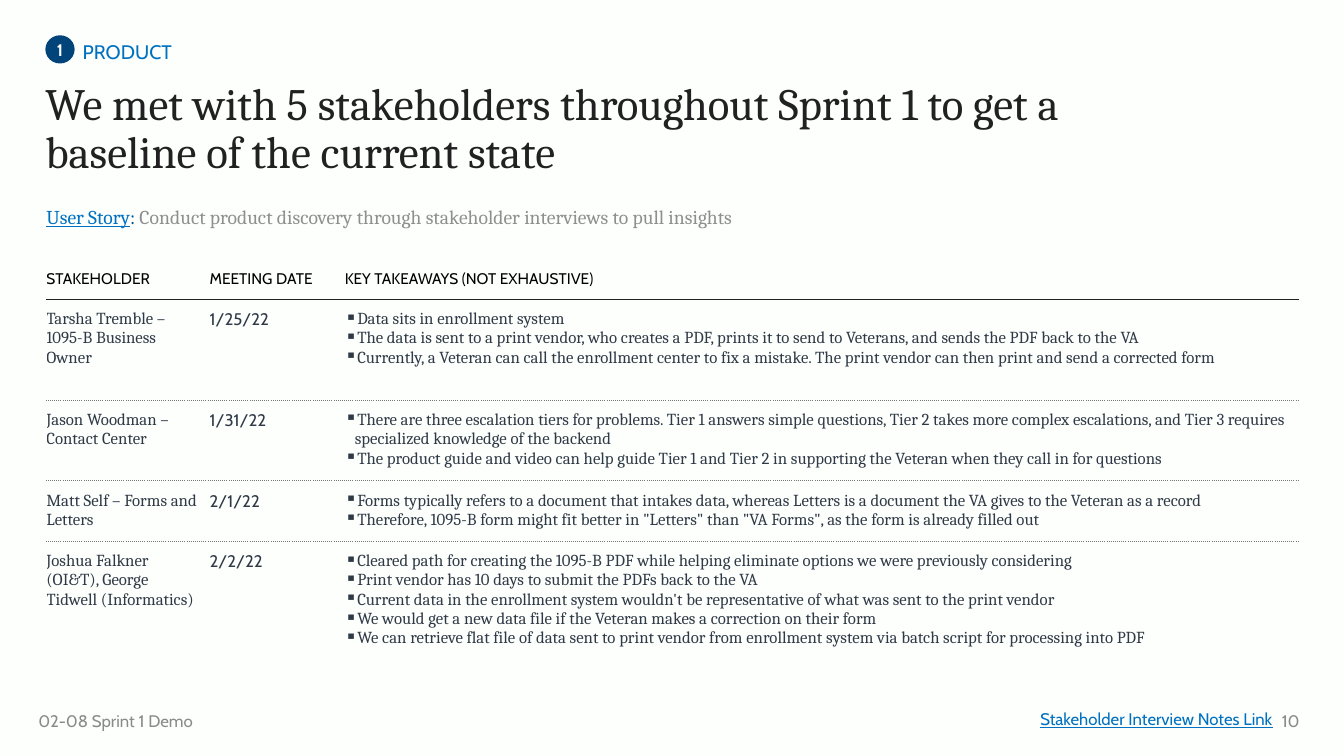
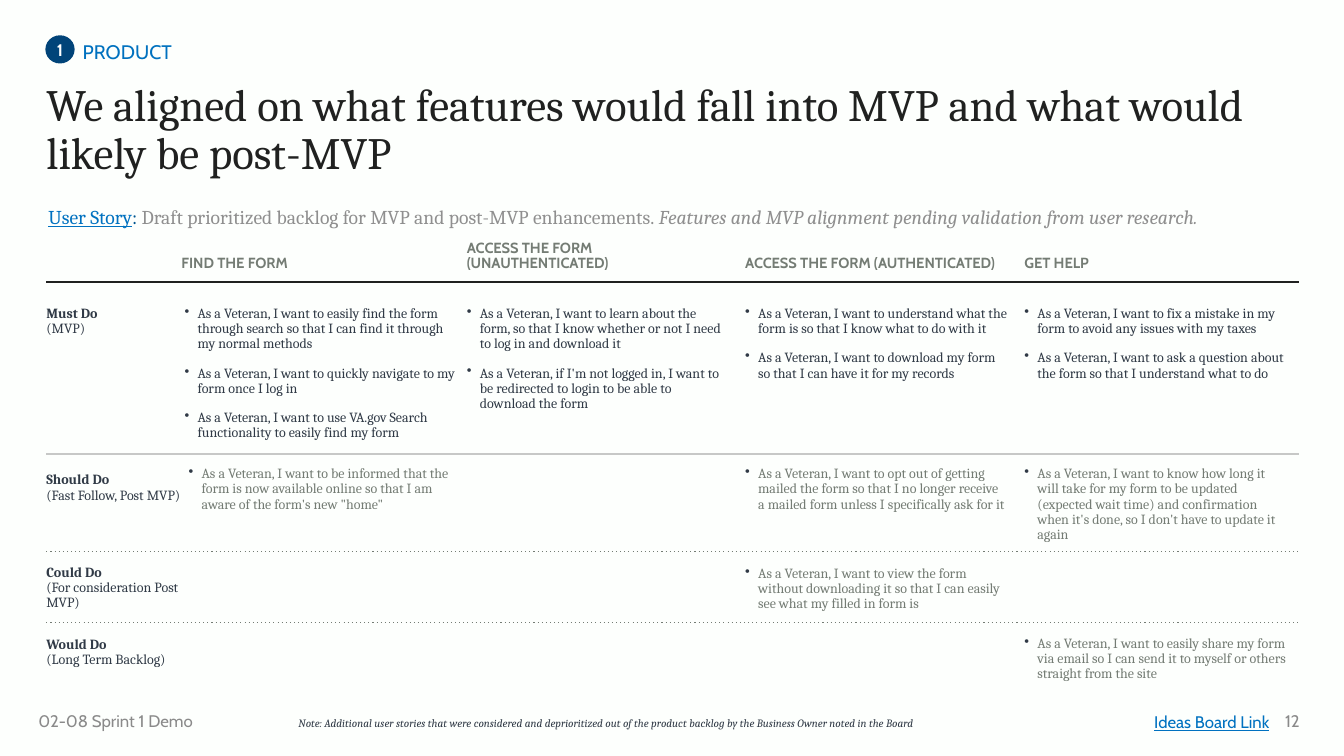
from dataclasses import dataclass

from lxml import etree
from pptx import Presentation
from pptx.dml.color import RGBColor
from pptx.enum import shapes, text
from pptx.oxml import ns
from pptx.util import Inches, Pt


@dataclass(frozen=True)
class Theme:
    page: str = "FDFFFD"
    ink: str = "202120"
    header: str = "000000"
    body: str = "303A46"
    muted: str = "747C74"
    rule: str = "C7C8C7"
    subtitle: str = "8F8F8F"
    footer: str = "8A8A8A"
    link: str = "0071C0"
    colon: str = "00558F"
    section: str = "0071BF"
    badge: str = "014479"
    white: str = "FFFFFF"
    serif: str = "Cambria"
    sans: str = "Cabin"
    title_size: float = 32
    lead_size: float = 14
    text_size: float = 12
    head_size: float = 11
    column_size: float = 10.5
    story_size: float = 10
    note_size: float = 8


T = Theme()
LEFT, RIGHT = 0.46, 12.88

INTERVIEWS = {
    "title": "We met with 5 stakeholders throughout Sprint 1 to get a baseline of the current state",
    "title_box": (0.45, 0.81, 10.82, 1.11),
    "story_left": 0.46,
    "story": [("Conduct product discovery through stakeholder interviews to pull insights", False)],
    "page": "10",
    "link": "Stakeholder Interview Notes Link",
    "link_box": (9.07, 6.98, 3.65, 0.3),
}
BACKLOG = {
    "title": "We aligned on what features would fall into MVP and what would likely be post-MVP",
    "title_box": (0.46, 0.82, 12.42, 1.11),
    "story_left": 0.48,
    "story": [
        ("Draft prioritized backlog for MVP and post-MVP enhancements. ", False),
        ("Features and MVP alignment pending validation from user research.", True),
    ],
    "page": "12",
    "link": "Ideas Board Link",
    "link_box": (9.69, 7.01, 3, 0.3),
}
SECTION = "PRODUCT"
FOOTER = "02-08 Sprint 1 Demo"

TABLE_COLS = [1.62, 1.34, 9.46]
TABLE_ROWS = [0.4, 1, 0.8, 0.6, 1.2]
TABLE_HEAD = ["STAKEHOLDER", "MEETING DATE", "KEY TAKEAWAYS (NOT EXHAUSTIVE)"]
MEETINGS = [
    ("Tarsha Tremble – 1095-B Business Owner", "1/25/22", [
        "Data sits in enrollment system",
        "The data is sent to a print vendor, who creates a PDF, prints it to send to Veterans, and sends the PDF back to the VA",
        "Currently, a Veteran can call the enrollment center to fix a mistake. The print vendor can then print and send a corrected form",
    ]),
    ("Jason Woodman – Contact Center", "1/31/22", [
        "There are three escalation tiers for problems. Tier 1 answers simple questions, Tier 2 takes more complex escalations, and Tier 3 requires specialized knowledge of the backend",
        "The product guide and video can help guide Tier 1 and Tier 2 in supporting the Veteran when they call in for questions",
    ]),
    ("Matt Self – Forms and Letters", "2/1/22", [
        "Forms typically refers to a document that intakes data, whereas Letters is a document the VA gives to the Veteran as a record",
        'Therefore, 1095-B form might fit better in "Letters" than "VA Forms", as the form is already filled out',
    ]),
    ("Joshua Falkner (OI&T), George Tidwell (Informatics)", "2/2/22", [
        "Cleared path for creating the 1095-B PDF while helping eliminate options we were previously considering",
        "Print vendor has 10 days to submit the PDFs back to the VA",
        "Current data in the enrollment system wouldn't be representative of what was sent to the print vendor",
        "We would get a new data file if the Veteran makes a correction on their form",
        "We can retrieve flat file of data sent to print vendor from enrollment system via batch script for processing into PDF",
    ]),
]

STAGES = [
    (1.8, "FIND THE FORM"),
    (4.63, "ACCESS THE FORM (UNAUTHENTICATED)"),
    (7.39, "ACCESS THE FORM (AUTHENTICATED)"),
    (10.16, "GET HELP"),
]
PRIORITIES = [
    ("Must Do", "(MVP)", 3.04, 3.04, T.body, 0.03, {
        0: [
            "As a Veteran, I want to easily find the form through search so that I can find it through my normal methods",
            "As a Veteran, I want to quickly navigate to my form once I log in",
            "As a Veteran, I want to use VA.gov Search functionality to easily find my form",
        ],
        1: [
            "As a Veteran, I want to learn about the form, so that I know whether or not I need to log in and download it",
            "As a Veteran, if I'm not logged in, I want to be redirected to login to be able to download the form",
        ],
        2: [
            "As a Veteran, I want to understand what the form is so that I know what to do with it",
            "As a Veteran, I want to download my form so that I can have it for my records",
        ],
        3: [
            "As a Veteran, I want to fix a mistake in my form to avoid any issues with my taxes",
            "As a Veteran, I want to ask a question about the form so that I understand what to do",
        ],
    }),
    ("Should Do", "(Fast Follow, Post MVP)", 4.69, 4.63, T.muted, 0.07, {
        0: ['As a Veteran, I want to be informed that the form is now available online so that I am aware of the form\'s new "home"'],
        2: ["As a Veteran, I want to opt out of getting mailed the form so that I no longer receive a mailed form unless I specifically ask for it"],
        3: ["As a Veteran, I want to know how long it will take for my form to be updated (expected wait time) and confirmation when it's done, so I don't have to update it again"],
    }),
    ("Could Do", "(For consideration Post MVP)", 5.61, 5.62, T.muted, 0, {
        2: ["As a Veteran, I want to view the form without downloading it so that I can easily see what my filled in form is"],
    }),
    ("Would Do", "(Long Term Backlog)", 6.32, 6.31, T.muted, 0, {
        3: ["As a Veteran, I want to easily share my form via email so I can send it to myself or others straight from the site"],
    }),
]
RULES = [
    (2.8, T.ink, 1.5, False),
    (4.5, T.rule, 1.5, False),
    (5.47, T.muted, 0.75, True),
    (6.18, T.muted, 0.75, True),
]
NOTE = "Note: Additional user stories that were considered and deprioritized out of the product backlog by the Business Owner noted in the Board"


def rgb(value):
    return RGBColor.from_string(value)


def add_run(p, words, size, color, font=T.serif, bold=False, italic=False, underline=False):
    r = p.add_run()
    r.text = words
    f = r.font
    f.name, f.size, f.color.rgb = font, Pt(size), rgb(color)
    f.bold, f.italic, f.underline = bold, italic, underline


def next_paragraph(tf, first):
    return tf.paragraphs[0] if first else tf.add_paragraph()


def add_bullets(tf, items, mark, indent, size, color, spacing=None, gap=0):
    for i, item in enumerate(items):
        p = next_paragraph(tf, i == 0)
        pPr = p._p.get_or_add_pPr()
        pPr.set("marL", str(Inches(indent)))
        pPr.set("indent", str(-Inches(indent)))
        clr = etree.SubElement(pPr, ns.qn("a:buClr"))
        etree.SubElement(clr, ns.qn("a:srgbClr"), val=T.body)
        etree.SubElement(pPr, ns.qn("a:buChar"), char=mark)
        if spacing:
            p.line_spacing = spacing
        if i and gap:
            p.space_before = Pt(gap)
        add_run(p, item, size, color)


def set_frame(tf, anchor=text.MSO_ANCHOR.TOP, margins=(0, 0, 0, 0)):
    tf.word_wrap = True
    tf.auto_size = text.MSO_AUTO_SIZE.NONE
    tf.vertical_anchor = anchor
    tf.margin_left, tf.margin_top, tf.margin_right, tf.margin_bottom = map(Inches, margins)
    return tf


def add_box(s, box, **frame):
    return set_frame(s.shapes.add_textbox(*map(Inches, box)).text_frame, **frame)


def add_line_text(s, box, words, size, color, font=T.serif, align=None, spacing=None, frame=None, **style):
    p = add_box(s, box, **(frame or {})).paragraphs[0]
    p.alignment, p.line_spacing = align, spacing
    add_run(p, words, size, color, font, **style)


def add_rule(s, y, color, width, dotted):
    line = s.shapes.add_connector(shapes.MSO_CONNECTOR.STRAIGHT, Inches(LEFT), Inches(y), Inches(RIGHT), Inches(y))
    line.line.color.rgb = rgb(color)
    line.line.width = Pt(width)
    if dotted:
        etree.SubElement(line.line._get_or_add_ln(), ns.qn("a:prstDash"), val="dot")
    etree.SubElement(line._element.spPr, ns.qn("a:effectLst"))


def set_borders(cell, top, bottom):
    side = (T.page, 1, "solid")
    tcPr = cell._tc.get_or_add_tcPr()
    for tag, (color, width, dash) in zip(("lnL", "lnR", "lnT", "lnB"), (side, side, top, bottom)):
        ln = etree.SubElement(tcPr, ns.qn("a:" + tag), w=str(Pt(width)))
        fill = etree.SubElement(ln, ns.qn("a:solidFill"))
        etree.SubElement(fill, ns.qn("a:srgbClr"), val=color)
        etree.SubElement(ln, ns.qn("a:prstDash"), val=dash)
    cell.fill.background()


def start_slide(prs, content):
    s = prs.slides.add_slide(prs.slide_layouts[5])
    title = s.shapes.title
    title.left, title.top, title.width, title.height = map(Inches, content["title_box"])
    p = set_frame(title.text_frame).paragraphs[0]
    p.alignment, p.line_spacing = text.PP_ALIGN.LEFT, 0.9
    add_run(p, content["title"], T.title_size, T.ink)

    badge = s.shapes.add_shape(shapes.MSO_SHAPE.OVAL, *map(Inches, (0.45, 0.35, 0.29, 0.28)))
    badge.shadow.inherit = False
    badge.fill.solid()
    badge.fill.fore_color.rgb = rgb(T.badge)
    badge.line.fill.background()
    p = set_frame(badge.text_frame, text.MSO_ANCHOR.MIDDLE).paragraphs[0]
    p.alignment = text.PP_ALIGN.CENTER
    add_run(p, "1", T.text_size, T.white, T.sans, bold=True)
    add_line_text(s, (0.82, 0.35, 5.28, 0.4), SECTION, T.lead_size, T.section, T.sans,
                  frame={"margins": (0, 0.05, 0, 0.05)})

    p = add_box(s, (content["story_left"], 2, 12.42, 0.27)).paragraphs[0]
    p.line_spacing = 1.15
    add_run(p, "User Story", T.lead_size, T.link, underline=True)
    add_run(p, ": ", T.lead_size, T.colon)
    for words, italic in content["story"]:
        add_run(p, words, T.lead_size, T.subtitle, italic=italic)

    right = text.PP_ALIGN.RIGHT
    middle = text.MSO_ANCHOR.MIDDLE
    pad = (0.1, 0.05, 0.1, 0.05)
    add_line_text(s, (0.33, 6.95, 1.8, 0.4), FOOTER, T.text_size, T.footer, T.sans,
                  frame={"anchor": middle, "margins": (0.05, 0.05, 0.1, 0.05)})
    add_line_text(s, (12.55, 6.95, 0.44, 0.4), content["page"], T.text_size, T.footer, T.sans, right,
                  frame={"anchor": middle, "margins": pad})
    add_line_text(s, content["link_box"], content["link"], T.text_size, T.link, T.sans, right,
                  frame={"margins": pad}, underline=True)
    return s


def build_interviews(prs):
    s = start_slide(prs, INTERVIEWS)
    rows = [TABLE_HEAD, *MEETINGS]
    frame = s.shapes.add_table(len(rows), len(TABLE_COLS), Inches(LEFT), Inches(2.57),
                               Inches(sum(TABLE_COLS)), Inches(sum(TABLE_ROWS)))
    table = frame.table
    table.first_row = table.horz_banding = False
    for column, width in zip(table.columns, TABLE_COLS):
        column.width = Inches(width)
    for row, height in zip(table.rows, TABLE_ROWS):
        row.height = Inches(height)

    blank, solid, dotted = (T.page, 1, "solid"), (T.ink, 1, "solid"), (T.muted, 0.75, "dot")
    edges = [blank, solid] + [dotted] * (len(rows) - 2) + [blank]
    for i, row in enumerate(rows):
        for j, value in enumerate(row):
            cell = table.cell(i, j)
            pad = 0.1 if i else 0.05
            cell.margin_left, cell.margin_right = 0, Inches(0 if j == 2 else 0.1)
            cell.margin_top = cell.margin_bottom = Inches(pad)
            cell.vertical_anchor = text.MSO_ANCHOR.TOP if i else text.MSO_ANCHOR.MIDDLE
            set_borders(cell, edges[i], edges[i + 1])
            tf = cell.text_frame
            if i == 0:
                add_run(tf.paragraphs[0], value, T.head_size, T.header, T.sans)
            elif j == 2:
                add_bullets(tf, value, "▪", 0.1, T.text_size, T.body)
            else:
                add_run(tf.paragraphs[0], value, T.text_size, T.body, T.sans if j else T.serif)


def build_backlog(prs):
    s = start_slide(prs, BACKLOG)
    for left, name in STAGES:
        add_line_text(s, (left, 2.35, 2.6, 0.35), name, T.column_size, T.muted, T.sans, spacing=0.9,
                      frame={"anchor": text.MSO_ANCHOR.BOTTOM}, bold=True)
    for rule in RULES:
        add_rule(s, *rule)
    for name, detail, label_top, top, color, inset, stories in PRIORITIES:
        tf = add_box(s, (LEFT, label_top, 1.37, 0.45))
        for i, words in enumerate((name, detail)):
            p = next_paragraph(tf, i == 0)
            p.line_spacing = 0.9
            add_run(p, words, T.story_size, T.body, bold=i == 0)
        for column, items in stories.items():
            left, width = STAGES[column][0], 2.6
            if column == 0:
                left += inset
                width = 4.58 - left
            height = 0.45 * len(items)
            add_bullets(add_box(s, (left, top, width, height)), items, "•", 0.13,
                        T.story_size, color, spacing=0.9, gap=10)
    add_line_text(s, (2.96, 7.12, 7.58, 0.12), NOTE, T.note_size, T.body, spacing=0.9, italic=True)


def main():
    prs = Presentation()
    prs.slide_width, prs.slide_height = Inches(13.33), Inches(7.5)
    fill = prs.slide_master.background.fill
    fill.solid()
    fill.fore_color.rgb = rgb(T.page)
    build_interviews(prs)
    build_backlog(prs)
    prs.save("out.pptx")


if __name__ == "__main__":
    main()
